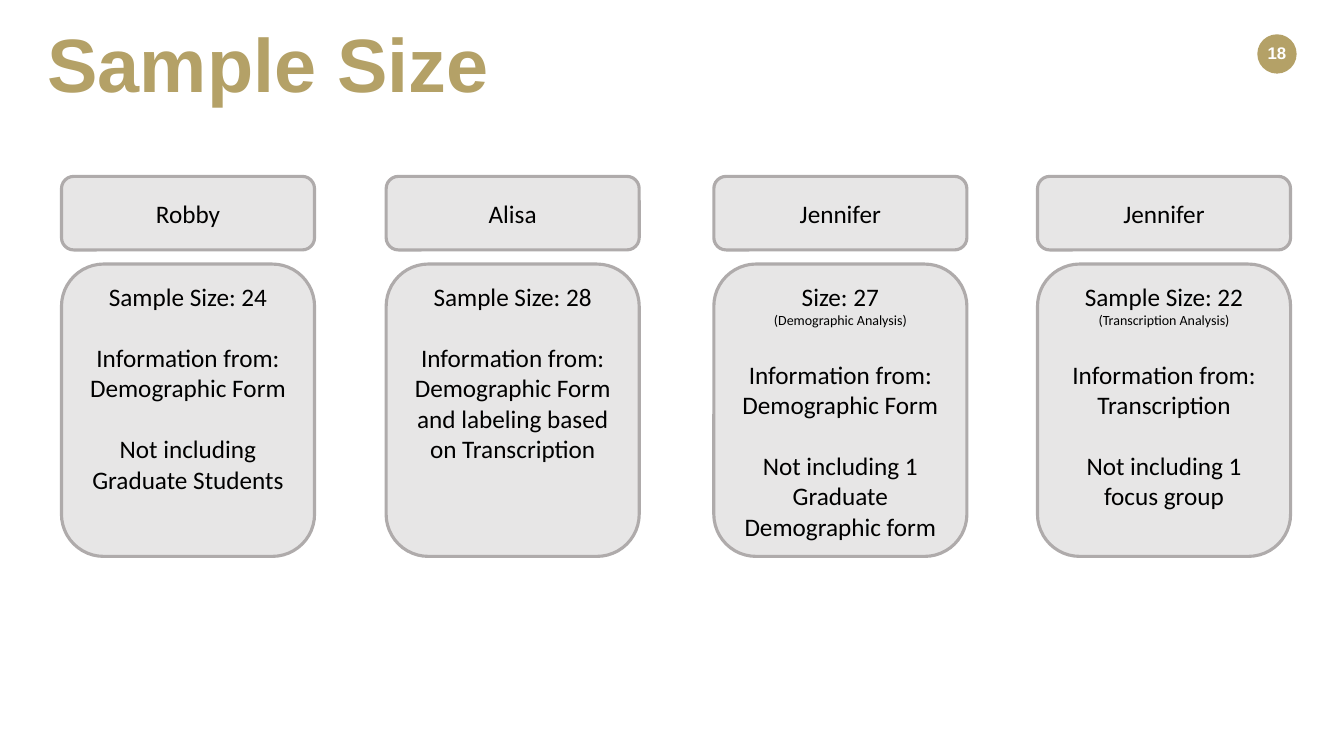
from pptx import Presentation
from pptx.dml.color import RGBColor
from pptx.enum.shapes import MSO_SHAPE
from pptx.enum.text import MSO_ANCHOR, PP_ALIGN
from pptx.util import Inches, Pt

GOLD, GREY, BORDER = "B4A167", "E7E6E6", "AFABAB"
TITLE = {"name": "Arial", "size": Pt(54), "bold": True, "color": GOLD}
NUMBER = {"name": "Arial", "size": Pt(12), "bold": True, "color": "FFFFFF"}
BODY = {"name": "Calibri", "size": Pt(18), "color": "000000"}
NOTE = BODY | {"size": Pt(10)}
CENTERED = {"alignment": PP_ALIGN.CENTER}
GROUP_START = CENTERED | {"space_before": Pt(22)}
TIGHT = {"line_spacing": 0.9}


def write(paragraph, text, font_format, paragraph_format):
    for name, value in paragraph_format.items():
        setattr(paragraph, name, value)
    run = paragraph.add_run()
    run.text = text
    for name, value in font_format.items():
        if name == "color":
            run.font.color.rgb = RGBColor.from_string(value)
        else:
            setattr(run.font, name, value)


def add_filled_shape(slide, kind, left, top, width, height, fill):
    shape = slide.shapes.add_shape(
        kind, Inches(left), Inches(top), Inches(width), Inches(height))
    shape.shadow.inherit = False
    shape.fill.solid()
    shape.fill.fore_color.rgb = RGBColor.from_string(fill)
    shape.line.fill.background()
    return shape


presentation = Presentation()
presentation.slide_width = Inches(13.33)
presentation.slide_height = Inches(7.5)
slide = presentation.slides.add_slide(presentation.slide_layouts[5])

title = slide.shapes.title
title.left, title.top = Inches(0.37), Inches(0.33)
title.width, title.height = Inches(11.5), Inches(0.69)
title.text_frame.vertical_anchor = MSO_ANCHOR.MIDDLE
write(title.text_frame.paragraphs[0], "Sample Size", TITLE,
      TIGHT | {"alignment": PP_ALIGN.LEFT})

add_filled_shape(slide, MSO_SHAPE.OVAL, 12.47, 0.34, 0.39, 0.39, GOLD)
number_box = slide.shapes.add_textbox(
    Inches(12.24), Inches(0.4), Inches(0.85), Inches(0.53))
number_box.text_frame.word_wrap = True
write(number_box.text_frame.paragraphs[0], "18", NUMBER, CENTERED | TIGHT)

studies = [
    (0.61, "Robby", [
        ["Sample Size: 24"],
        ["Information from:", "Demographic Form"],
        ["Not including Graduate Students"]]),
    (3.83, "Alisa", [
        ["Sample Size: 28"],
        ["Information from:",
         "Demographic Form and labeling based on Transcription"]]),
    (7.08, "Jennifer", [
        ["Size: 27", "(Demographic Analysis)"],
        ["Information from:", "Demographic Form"],
        ["Not including 1 Graduate Demographic form"]]),
    (10.29, "Jennifer", [
        ["Sample Size: 22", "(Transcription Analysis)"],
        ["Information from:", "Transcription"],
        ["Not including 1 focus group"]]),
]

for left, researcher, details in studies:
    cards = [
        (1.75, 0.73, MSO_ANCHOR.MIDDLE, [[researcher]]),
        (2.62, 2.9, MSO_ANCHOR.TOP, details),
    ]
    for top, height, anchor, groups in cards:
        card = add_filled_shape(slide, MSO_SHAPE.ROUNDED_RECTANGLE,
                                left, top, 2.51, height, GREY)
        card.line.color.rgb = RGBColor.from_string(BORDER)
        card.line.width = Pt(2.25)
        frame = card.text_frame
        frame.word_wrap = True
        frame.vertical_anchor = anchor
        for group_index, group in enumerate(groups):
            for line_index, text in enumerate(group):
                first = group_index == 0 and line_index == 0
                paragraph = frame.paragraphs[0] if first else frame.add_paragraph()
                starts_group = group_index > 0 and line_index == 0
                write(paragraph, text, NOTE if text.startswith("(") else BODY,
                      GROUP_START if starts_group else CENTERED)

presentation.save("out.pptx")
